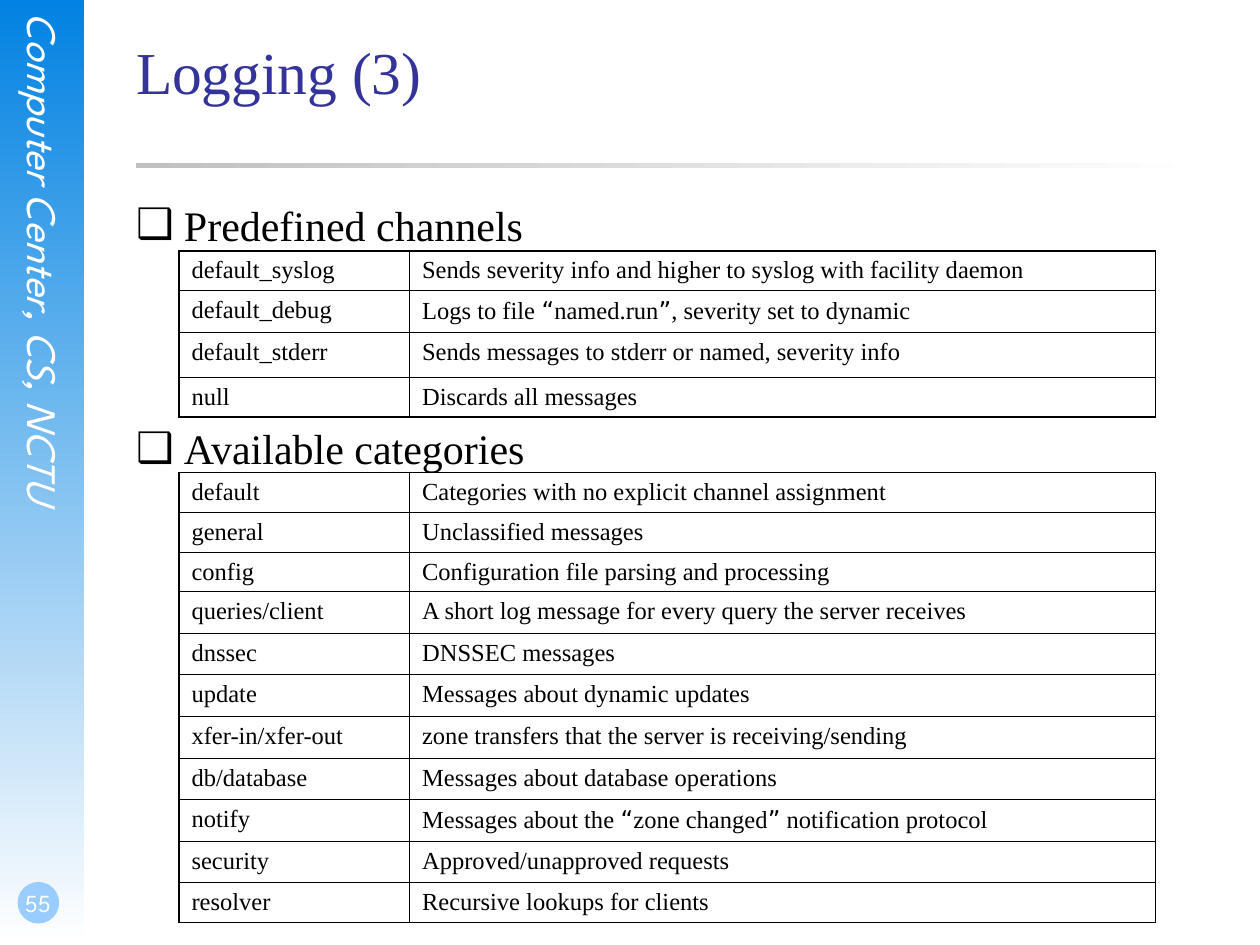
from itertools import groupby

from lxml.etree import SubElement
from pptx import Presentation
from pptx.dml.color import RGBColor
from pptx.enum.shapes import MSO_SHAPE
from pptx.enum.text import MSO_ANCHOR, MSO_AUTO_SIZE, PP_ALIGN
from pptx.oxml.ns import qn
from pptx.util import Inches, Pt

SERIF, SANS, QUOTE_FONT = "Times New Roman", "League Spartan", "DejaVu Sans"
BLACK, WHITE = "000000", "FFFFFF"
OUTER_LINE, INNER_LINE = Pt(1.08), Pt(0.45)
COLUMN_WIDTHS = (1.83, 5.92)

CHANNELS = [
    ("default_syslog", "Sends severity info and higher to syslog with facility daemon"),
    ("default_debug", "Logs to file “named.run”, severity set to dynamic"),
    ("default_stderr", "Sends messages to stderr or named, severity info"),
    ("null", "Discards all messages"),
]
CATEGORIES = [
    ("default", "Categories with no explicit channel assignment"),
    ("general", "Unclassified messages"),
    ("config", "Configuration file parsing and processing"),
    ("queries/client", "A short log message for every query the server receives"),
    ("dnssec", "DNSSEC messages"),
    ("update", "Messages about dynamic updates"),
    ("xfer-in/xfer-out", "zone transfers that the server is receiving/sending"),
    ("db/database", "Messages about database operations"),
    ("notify", "Messages about the “zone changed” notification protocol"),
    ("security", "Approved/unapproved requests"),
    ("resolver", "Recursive lookups for clients"),
]


def color(value):
    return RGBColor.from_string(value)


def place(shape, left, top, width, height):
    shape.left, shape.top = Inches(left), Inches(top)
    shape.width, shape.height = Inches(width), Inches(height)


def style(paragraph, size, name, fill):
    font = paragraph.font
    font.size, font.name = Pt(size), name
    font.color.rgb = color(fill)


def prepare_frame(frame, anchor=MSO_ANCHOR.TOP):
    """Remove insets and autofit, and wrap the text."""
    frame.auto_size = MSO_AUTO_SIZE.NONE
    frame.word_wrap = True
    frame.vertical_anchor = anchor
    frame.margin_left = frame.margin_right = 0
    frame.margin_top = frame.margin_bottom = 0


def add_plain_shape(page, kind, *area):
    shape = page.shapes.add_shape(kind, *map(Inches, area))
    shape.shadow.inherit = False
    shape.line.fill.background()
    return shape


def add_gradient_bar(page, area, start, angle):
    fill = add_plain_shape(page, MSO_SHAPE.RECTANGLE, *area).fill
    fill.gradient()
    fill.gradient_angle = angle
    for stop, position, value in zip(fill.gradient_stops, (0, 1), (start, WHITE)):
        stop.position = position
        stop.color.rgb = color(value)


def add_label(page, area, text, size, anchor=MSO_ANCHOR.TOP):
    frame = page.shapes.add_textbox(*map(Inches, area)).text_frame
    prepare_frame(frame, anchor)
    paragraph = frame.paragraphs[0]
    paragraph.text = text
    paragraph.alignment = PP_ALIGN.CENTER
    style(paragraph, size, SANS, WHITE)
    return frame


def add_side_rail(page):
    add_gradient_bar(page, (0, 0, 0.67, 7.5), "0282E2", 270)
    name = add_label(page, (0.15, 0.1, 0.4, 5.11), "Computer Center, CS, NCTU", 24)
    name.paragraphs[0].font.italic = True
    name._txBody.bodyPr.set("vert", "eaVert")
    badge = add_plain_shape(page, MSO_SHAPE.OVAL, 0.14, 7, 0.33, 0.33)
    badge.fill.solid()
    badge.fill.fore_color.rgb = color("99CCFF")
    number = add_label(page, (0, 6.83, 0.58, 0.5), "55", 14, MSO_ANCHOR.BOTTOM)
    number.margin_left, number.margin_bottom = Inches(0.02), Inches(0.05)


def fill_title(title, text):
    place(title, 1.08, 0.28, 8.5, 1.25)
    prepare_frame(title.text_frame)
    paragraph = title.text_frame.paragraphs[0]
    paragraph.text = text
    paragraph.alignment = PP_ALIGN.LEFT
    style(paragraph, 34, SERIF, "333399")


def add_bullet(paragraph, symbol):
    properties = paragraph._p.get_or_add_pPr()
    properties.set("marL", str(Inches(0.38)))
    properties.set("indent", str(-Inches(0.38)))
    bullet_color = SubElement(properties, qn("a:buClr"))
    SubElement(bullet_color, qn("a:srgbClr"), val=BLACK)
    SubElement(properties, qn("a:buChar"), char=symbol)


def fill_body(body, headings, gap):
    """Write bulleted headings, leaving a gap in points for the table between them."""
    place(body, 1.08, 1.58, 8.5, 5.08)
    frame = body.text_frame
    prepare_frame(frame)
    for index, heading in enumerate(headings):
        paragraph = frame.add_paragraph() if index else frame.paragraphs[0]
        paragraph.text = heading
        paragraph.space_before = Pt(gap if index else 0)
        add_bullet(paragraph, "❑")
        style(paragraph, 24, SERIF, BLACK)


def write_cell(cell, text):
    cell.margin_left = cell.margin_right = Inches(0.1)
    cell.margin_top = cell.margin_bottom = Inches(0.05)
    paragraph = cell.text_frame.paragraphs[0]
    style(paragraph, 14, SERIF, BLACK)
    for is_quote, characters in groupby(text, key=lambda mark: mark in "“”"):
        span = paragraph.add_run()
        span.text = "".join(characters)
        if is_quote:
            span.font.name = QUOTE_FONT


def set_borders(cell, outer_sides):
    """Draw the four sides, thicker where they lie on the table's edge."""
    properties = cell._tc.get_or_add_tcPr()
    for side, is_outer in zip("LRTB", outer_sides):
        width = OUTER_LINE if is_outer else INNER_LINE
        line = SubElement(properties, qn(f"a:ln{side}"), w=str(width))
        solid = SubElement(line, qn("a:solidFill"))
        SubElement(solid, qn("a:srgbClr"), val=BLACK)


def add_grid(page, top, entries, heights):
    size = (sum(COLUMN_WIDTHS), sum(heights))
    table = page.shapes.add_table(
        len(entries), len(COLUMN_WIDTHS), Inches(1.42), Inches(top), *map(Inches, size)
    ).table
    table.first_row = table.horz_banding = False
    for column, width in zip(table.columns, COLUMN_WIDTHS):
        column.width = Inches(width)
    last_row, last_column = len(entries) - 1, len(COLUMN_WIDTHS) - 1
    for r, (entry, height) in enumerate(zip(entries, heights)):
        table.rows[r].height = Inches(height)
        for c, text in enumerate(entry):
            cell = table.cell(r, c)
            write_cell(cell, text)
            set_borders(cell, (c == 0, c == last_column, r == 0, r == last_row))
            cell.fill.background()


def main():
    deck = Presentation()
    deck.slide_width, deck.slide_height = Inches(10), Inches(7.5)
    page = deck.slides.add_slide(deck.slide_layouts[1])
    add_side_rail(page)
    add_gradient_bar(page, (1.08, 1.29, 8.5, 0.04), "C0C0C0", 0)
    fill_title(page.shapes.title, "Logging (3)")
    fill_body(page.placeholders[1], ("Predefined channels", "Available categories"), 99)
    add_grid(page, 1.99, CHANNELS, [0.31, 0.31, 0.36, 0.31])
    add_grid(page, 3.75, CATEGORIES, [0.31] * 3 + [0.33] * 7 + [0.31])
    deck.save("out.pptx")


if __name__ == "__main__":
    main()
